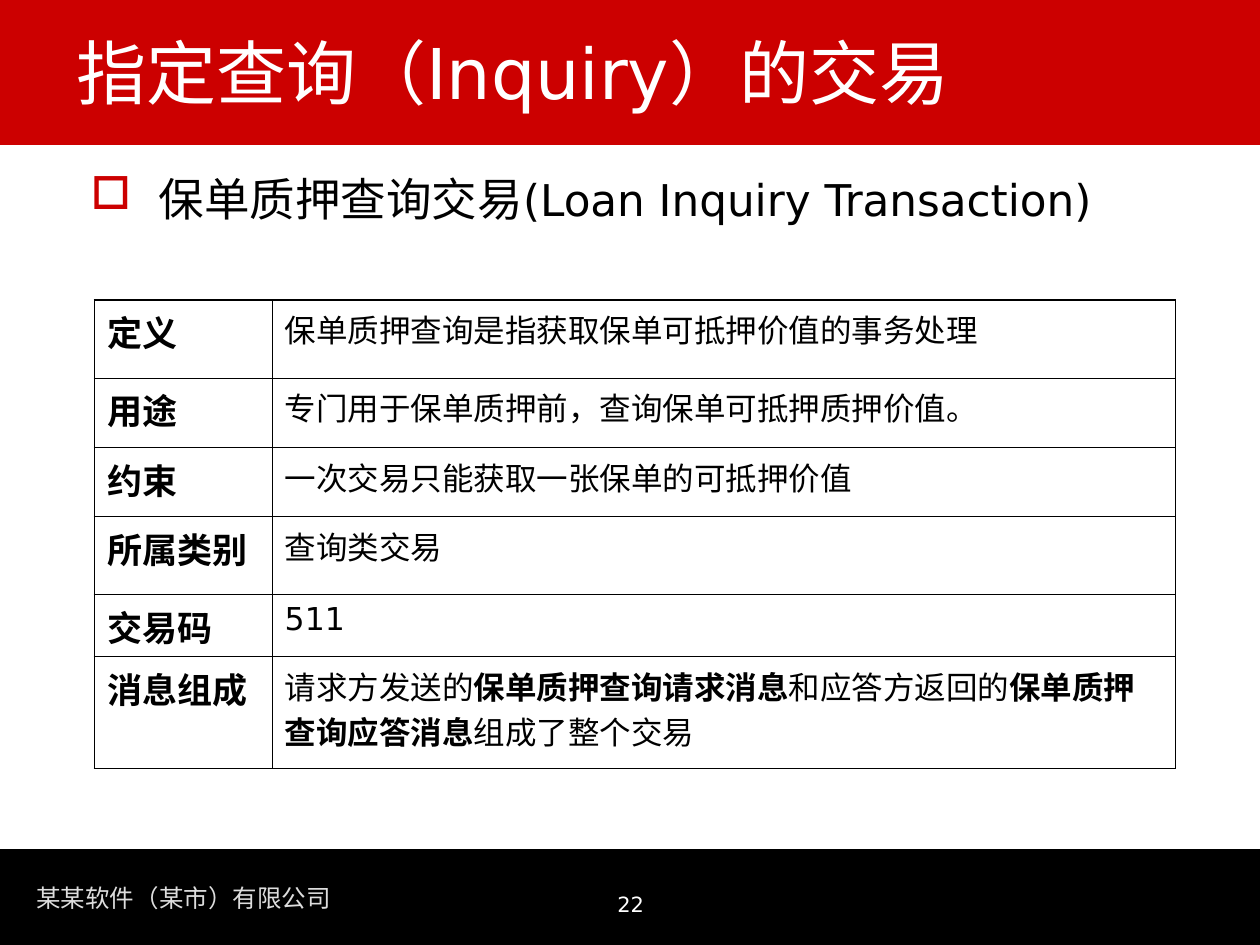
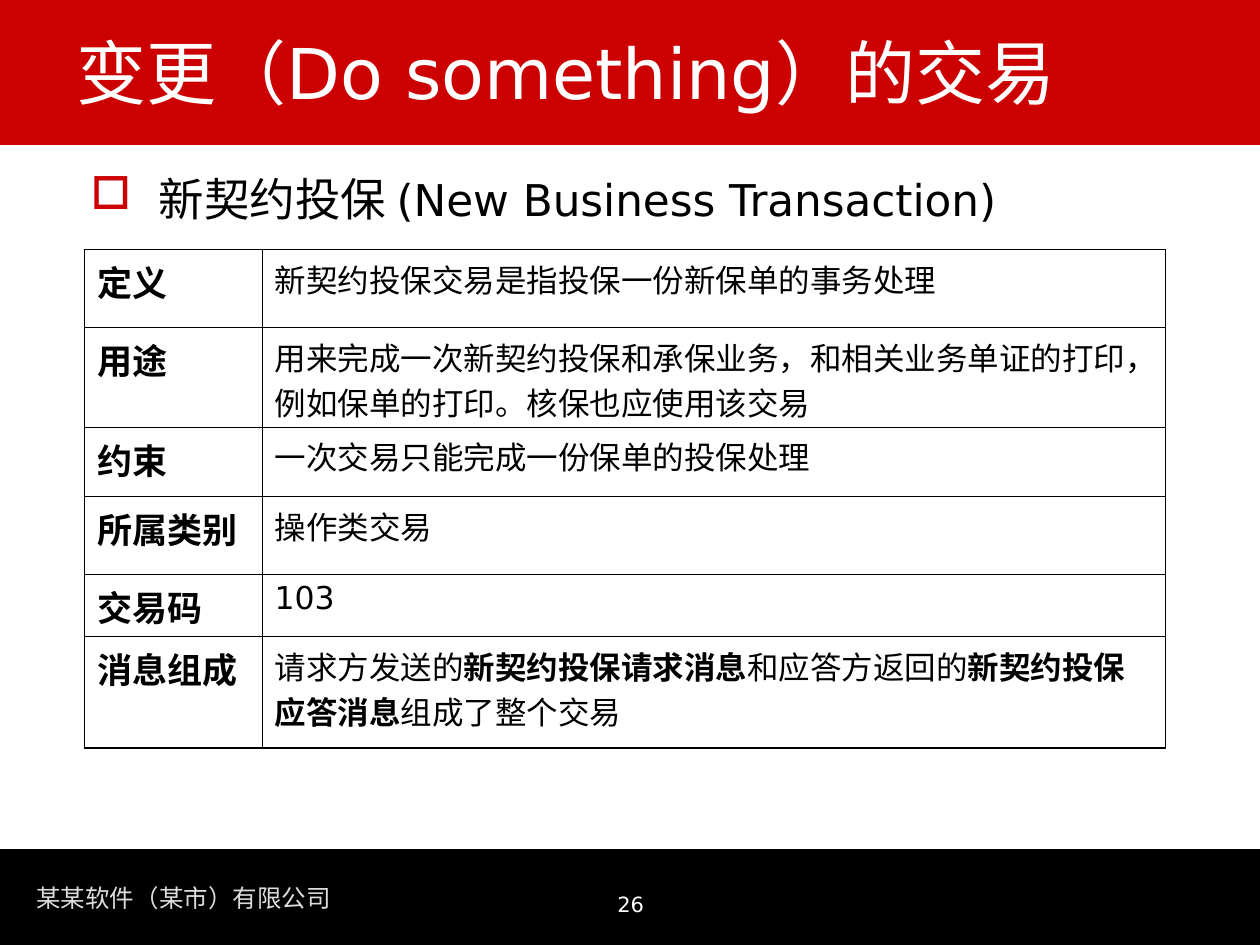
from lxml.etree import SubElement
from pptx import Presentation
from pptx.dml.color import RGBColor
from pptx.enum.lang import MSO_LANGUAGE_ID
from pptx.enum.shapes import MSO_SHAPE
from pptx.enum.text import MSO_ANCHOR, PP_ALIGN
from pptx.oxml.ns import qn
from pptx.util import Inches, Pt

COLORS = {"red": "CC0000", "black": "000000", "white": "FFFFFF", "grey": "DDDDDD"}
FONT = "DejaVu Sans"
COMPANY = "某某软件（某市）有限公司"

SLIDE_W, SLIDE_H = 10, 7.5
HEADER_H, FOOTER_H = 1.15, 0.76
TABLE_COLS = (1.41, 7.17)
OUTER_LINE, INNER_LINE = 1.08, 0.45
ROW_LABELS = ("定义", "用途", "约束", "所属类别", "交易码", "消息组成")

# In the answers, text between bars is bold
TRANSACTIONS = [
    {
        "title": "指定查询（Inquiry）的交易",
        "subject": ("保单质押查询交易", "(Loan Inquiry Transaction)"),
        "page": "22",
        "table_at": (0.75, 2.38),
        "row_heights": (0.62, 0.55, 0.55, 0.62, 0.49, 0.89),
        "answers": (
            "保单质押查询是指获取保单可抵押价值的事务处理",
            "专门用于保单质押前，查询保单可抵押质押价值。",
            "一次交易只能获取一张保单的可抵押价值",
            "查询类交易",
            "511",
            "请求方发送的|保单质押查询请求消息|和应答方返回的|保单质押查询应答消息|组成了整个交易",
        ),
    },
    {
        "title": "变更（Do something）的交易",
        "subject": ("新契约投保 ", "(New Business Transaction)"),
        "page": "26",
        "table_at": (0.67, 1.98),
        "row_heights": (0.62, 0.79, 0.55, 0.62, 0.49, 0.89),
        "answers": (
            "新契约投保交易是指投保一份新保单的事务处理",
            "用来完成一次新契约投保和承保业务，和相关业务单证的打印，例如保单的打印。核保也应使用该交易",
            "一次交易只能完成一份保单的投保处理",
            "操作类交易",
            "103",
            "请求方发送的|新契约投保请求消息|和应答方返回的|新契约投保应答消息|组成了整个交易",
        ),
    },
]


def rgb(color):
    return RGBColor.from_string(COLORS[color])


def style(paragraph, size, color):
    font = paragraph.font
    font.name, font.size = FONT, Pt(size)
    font.color.rgb = rgb(color)
    font.language_id = MSO_LANGUAGE_ID.SIMPLIFIED_CHINESE


def add_band(slide, top, height, color):
    band = slide.shapes.add_shape(MSO_SHAPE.RECTANGLE, 0, Inches(top),
                                  Inches(SLIDE_W), Inches(height))
    band.shadow.inherit = False
    band.fill.solid()
    band.fill.fore_color.rgb = rgb(color)
    band.line.fill.background()


def add_text(slide, box, text, size, color, align=PP_ALIGN.LEFT,
             anchor=MSO_ANCHOR.TOP, wrap=True):
    frame = slide.shapes.add_textbox(*map(Inches, box)).text_frame
    frame.word_wrap = wrap
    frame.vertical_anchor = anchor
    paragraph = frame.paragraphs[0]
    paragraph.text = text
    paragraph.alignment = align
    style(paragraph, size, color)
    return paragraph


def add_subject(slide, chinese, english):
    """Square-bulleted line naming the transaction in both languages."""
    paragraph = add_text(slide, (0.62, 1.31, 8.71, 0.67), "", 26, "black")
    properties = paragraph._p.get_or_add_pPr()
    indent = Inches(0.54)
    properties.set("marL", str(indent))
    properties.set("indent", str(-indent))
    bullet_color = SubElement(properties, qn("a:buClr"))
    SubElement(bullet_color, qn("a:srgbClr"), val=COLORS["red"])
    SubElement(properties, qn("a:buChar"), char="□")
    # Bullet elements come before the default run properties
    properties.append(properties.find(qn("a:defRPr")))
    for text, size in ((chinese, 26), (english, 25)):
        run = paragraph.add_run()
        run.text = text
        run.font.size = Pt(size)


def set_borders(cell, widths):
    properties = cell._tc.get_or_add_tcPr()
    for side, width in zip("LRTB", widths):
        line = SubElement(properties, qn(f"a:ln{side}"), w=str(Pt(width)))
        fill = SubElement(line, qn("a:solidFill"))
        SubElement(fill, qn("a:srgbClr"), val=COLORS["black"])


def fill_cell(cell, text, size, is_label):
    paragraph = cell.text_frame.paragraphs[0]
    style(paragraph, size, "black")
    for index, part in enumerate(text.split("|")):
        run = paragraph.add_run()
        run.text = part
        run.font.bold = is_label or index % 2 == 1


def add_definition_table(slide, position, row_heights, answers):
    size = (sum(TABLE_COLS), sum(row_heights))
    table = slide.shapes.add_table(len(row_heights), len(TABLE_COLS),
                                   *map(Inches, position + size)).table
    table.first_row = table.horz_banding = False
    for column, width in zip(table.columns, TABLE_COLS):
        column.width = Inches(width)
    last = len(row_heights) - 1
    for r, (height, *texts) in enumerate(zip(row_heights, ROW_LABELS, answers)):
        table.rows[r].height = Inches(height)
        for c, text in enumerate(texts):
            cell = table.cell(r, c)
            is_label = c == 0
            fill_cell(cell, text, 20 if is_label else 18, is_label)
            on_edge = (c == 0, c == 1, r == 0, r == last)
            set_borders(cell, [OUTER_LINE if edge else INNER_LINE for edge in on_edge])
            cell.fill.background()


def add_frame(slide, title, page):
    """Header with title, footer with company and page number."""
    add_band(slide, SLIDE_H - FOOTER_H, FOOTER_H, "black")
    add_band(slide, 0, HEADER_H, "red")
    add_text(slide, (0.19, 6.96, 2.54, 0.34), COMPANY, 14, "grey", wrap=False)
    add_text(slide, (3.42, 7.03, 3.17, 0.32), page, 12, "white", PP_ALIGN.CENTER)
    add_text(slide, (0.51, 0.28, 8.75, 0.67), title, 40, "white",
             anchor=MSO_ANCHOR.BOTTOM)


def main():
    deck = Presentation()
    deck.slide_width, deck.slide_height = Inches(SLIDE_W), Inches(SLIDE_H)
    for transaction in TRANSACTIONS:
        slide = deck.slides.add_slide(deck.slide_layouts[6])
        add_frame(slide, transaction["title"], transaction["page"])
        add_subject(slide, *transaction["subject"])
        add_definition_table(slide, transaction["table_at"],
                             transaction["row_heights"], transaction["answers"])
    deck.save("out.pptx")


if __name__ == "__main__":
    main()
